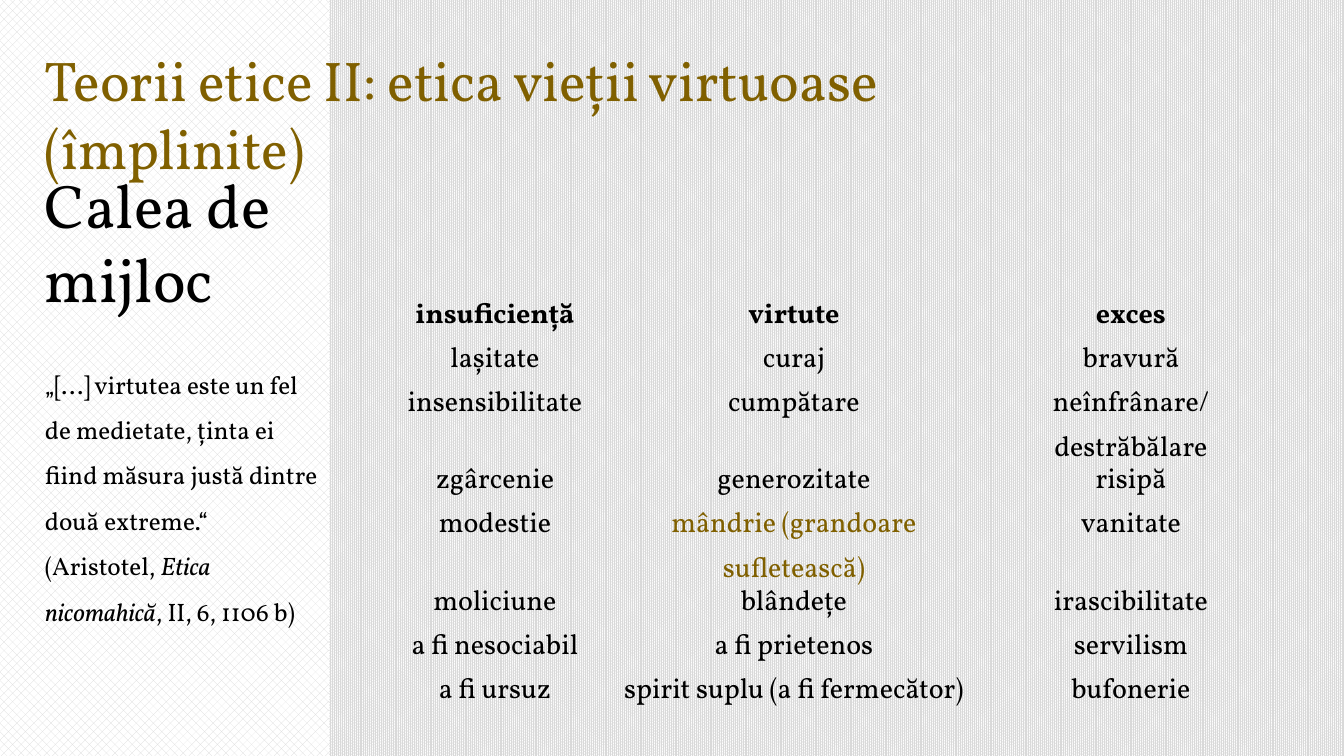
from pptx import Presentation
from pptx.dml.color import RGBColor
from pptx.enum.dml import MSO_PATTERN
from pptx.enum.shapes import MSO_SHAPE
from pptx.enum.text import MSO_ANCHOR, MSO_AUTO_SIZE, PP_ALIGN
from pptx.oxml.ns import qn
from pptx.util import Emu, Inches, Pt

PIXEL = Inches(1) / 100.8
BLACK, GOLD, GREY, WHITE = "000000", "806000", "D9D9D9", "FFFFFF"
NO_STYLE_NO_GRID = "{2D5ABB26-0587-4C30-8999-92F81FD0307C}"


def px(length):
    """Turn pixels into EMU."""
    return Emu(round(length * PIXEL))


def color(value):
    """Turn a hex string into a colour."""
    return RGBColor.from_string(value)


class SlideBuilder:
    """Holds the style and the slide being built."""

    font = "Vollkorn"

    def __init__(self, slide):
        """Keep the slide to draw on."""
        self.slide = slide

    def pattern(self, fill, kind):
        """Give a fill a grey pattern on white, named as in DrawingML."""
        fill.patterned()
        fill.pattern = MSO_PATTERN.from_xml(kind)
        fill.fore_color.rgb = color(GREY)
        fill.back_color.rgb = color(WHITE)

    def background(self, kind):
        """Cover the slide with a pattern."""
        self.pattern(self.slide.background.fill, kind)

    def panel(self, left, top, width, height, kind):
        """Add a patterned rectangle without outline."""
        shape = self.slide.shapes.add_shape(
            MSO_SHAPE.RECTANGLE, px(left), px(top), px(width), px(height))
        shape.shadow.inherit = False
        shape.line.fill.background()
        self.pattern(shape.fill, kind)

    def span(self, para, text, size, ink=BLACK, bold=False, italic=False):
        """Add one run to a paragraph."""
        run = para.add_run()
        run.text = text
        run.font.name = self.font
        run.font.size = Pt(size)
        run.font.bold = bold
        run.font.italic = italic
        run.font.color.rgb = color(ink)

    def text(self, left, top, width, height, spans, size, ink=BLACK, spacing=1.0):
        """Add a text box from (text, italic) pairs."""
        box = self.slide.shapes.add_textbox(px(left), px(top), px(width), px(height))
        frame = box.text_frame
        frame.word_wrap = True
        frame.auto_size = MSO_AUTO_SIZE.SHAPE_TO_FIT_TEXT
        para = frame.paragraphs[0]
        para.line_spacing = spacing
        for words, italic in spans:
            self.span(para, words, size, ink, italic=italic)

    def table(self, left, top, widths, row_height, rows, size, accent):
        """Add a plain centred table with a bold header and one accented entry."""
        table = self.slide.shapes.add_table(
            len(rows), len(widths), px(left), px(top),
            px(sum(widths)), px(row_height * len(rows))).table
        table.horz_banding = False
        table._tbl.tblPr.find(qn("a:tableStyleId")).text = NO_STYLE_NO_GRID
        for column, width in zip(table.columns, widths):
            column.width = px(width)
        for index, (row, words) in enumerate(zip(table.rows, rows)):
            row.height = px(row_height)
            for cell, word in zip(row.cells, words):
                cell.fill.background()
                cell.vertical_anchor = MSO_ANCHOR.TOP
                cell.margin_top = cell.margin_bottom = 0
                para = cell.text_frame.paragraphs[0]
                para.alignment = PP_ALIGN.CENTER
                para.line_spacing = 1.15
                ink = GOLD if word == accent else BLACK
                self.span(para, word, size, ink, bold=index == 0)


deck = Presentation()
deck.slide_width, deck.slide_height = px(1344), px(756)
page = SlideBuilder(deck.slides.add_slide(deck.slide_layouts[6]))

page.background("pct90")
page.panel(0, -2, 329, 758, "pct40")

page.text(35, 162, 294, 159, [("Calea de mijloc", False)], 44)
page.text(35, 41, 1022, 78,
          [("Teorii etice II: etica vieții virtuoase (împlinite)", False)], 40, GOLD)
quote = [
    ("„[...] virtutea este un fel de medietate, ținta ei fiind măsura justă "
     "dintre două extreme.“ (Aristotel, ", False),
    ("Etica nicomahică", True),
    (", II, 6, 1106 b)", False),
]
page.text(35, 349, 294, 236, quote, 18, spacing=1.5)

pride = "mândrie (grandoare sufletească)"
virtues = [
    ("insuficiență", "virtute", "exces"),
    ("lașitate", "curaj", "bravură"),
    ("insensibilitate", "cumpătare", "neînfrânare/ destrăbălare"),
    ("zgârcenie", "generozitate", "risipă"),
    ("modestie", pride, "vanitate"),
    ("moliciune", "blândețe", "irascibilitate"),
    ("a fi nesociabil", "a fi prietenos", "servilism"),
    ("a fi ursuz", "spirit suplu (a fi fermecător)", "bufonerie"),
]
page.table(384, 291, (222, 376, 298), 44, virtues, 20, pride)

deck.save("out.pptx")
